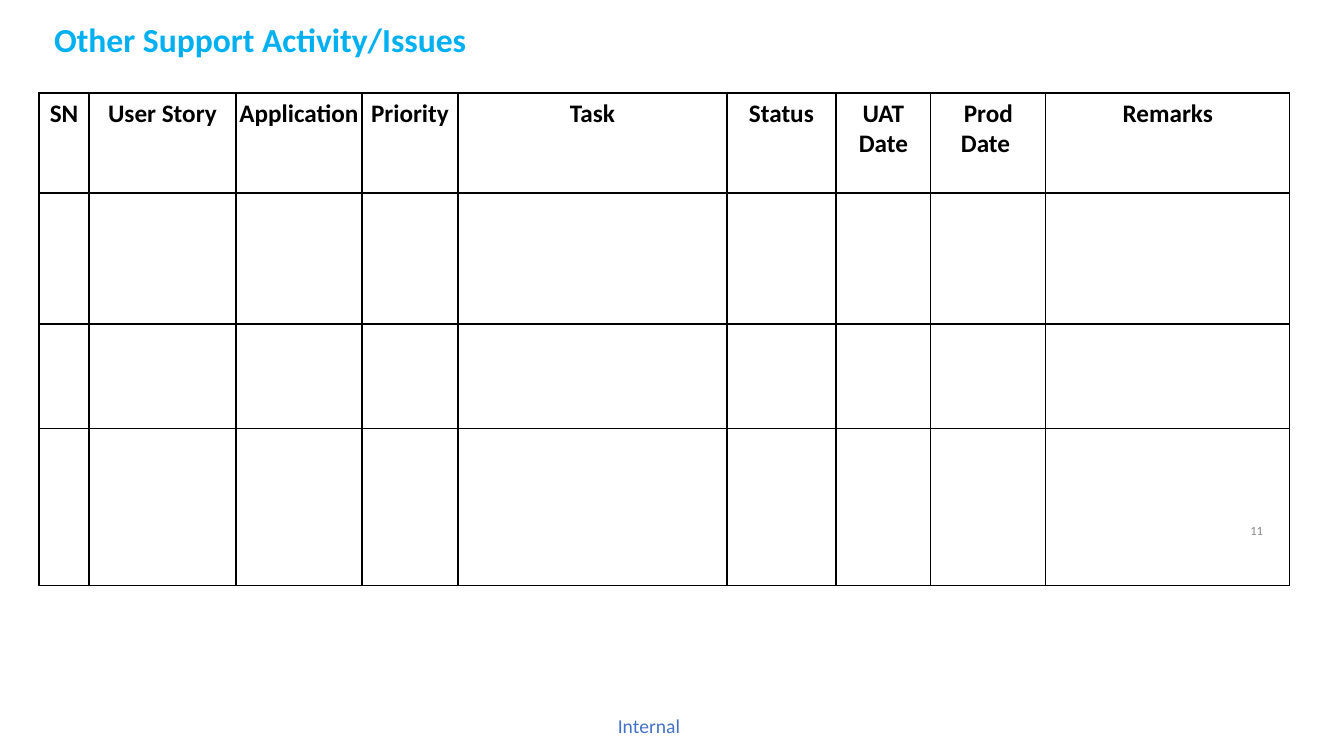
"""Build the support activity slide with its issue tracking table."""
from dataclasses import dataclass

from lxml import etree
from pptx import Presentation, util as u
from pptx.dml.color import RGBColor
from pptx.enum import text
from pptx.oxml.ns import qn

EMU_PER_PX = 914400 / 100.8
FONT = "Calibri"
BLACK, WHITE = "000000", "FFFFFF"
TABLE_LEFT, TABLE_TOP = 39, 93
ROW_HEIGHTS = (100, 131, 105, 157)
FILLED_ROW, FILLED_COLUMNS = 1, 5


@dataclass
class Column:
    """A table column: its width in px and its heading lines."""
    width: int
    heading: tuple[str, ...]


@dataclass
class Label:
    """A text with its box in px and its look."""
    words: str
    left: int
    top: int
    width: int
    height: int
    size: int
    color: str
    align: text.PP_ALIGN
    anchor: text.MSO_ANCHOR
    bold: bool = False


COLUMNS = (
    Column(50, ("SN",)),
    Column(147, ("User Story",)),
    Column(126, ("Application",)),
    Column(96, ("Priority",)),
    Column(269, ("Task",)),
    Column(109, ("Status",)),
    Column(95, ("UAT", "Date")),
    Column(115, ("Prod", "Date ")),
    Column(244, ("Remarks",)),
)
TITLE = Label("Other Support Activity/Issues", 44, 14, 1096, 51, 24, "00B0F0",
              text.PP_ALIGN.LEFT, text.MSO_ANCHOR.MIDDLE, True)
LABELS = (
    Label("11", 1213, 518, 60, 24, 9, "888888",
          text.PP_ALIGN.RIGHT, text.MSO_ANCHOR.MIDDLE),
    Label("Internal", 605, 709, 88, 56, 14, "4472C4",
          text.PP_ALIGN.CENTER, text.MSO_ANCHOR.TOP),
)


def px(length: int) -> u.Emu:
    """Turn px into EMU."""
    return u.Emu(round(length * EMU_PER_PX))


def rgb(color: str) -> RGBColor:
    """Turn a hex string into a colour."""
    return RGBColor.from_string(color)


def add_run(paragraph, words: str, size: int, color: str, bold: bool) -> None:
    """Append one formatted run to a paragraph."""
    run = paragraph.add_run()
    run.text = words
    run.font.name = FONT
    run.font.size = u.Pt(size)
    run.font.bold = bold
    run.font.color.rgb = rgb(color)


def write_label(shape, label: Label) -> None:
    """Place a shape and write its label."""
    shape.left, shape.top = px(label.left), px(label.top)
    shape.width, shape.height = px(label.width), px(label.height)
    frame = shape.text_frame
    frame.word_wrap = True
    frame.auto_size = text.MSO_AUTO_SIZE.NONE
    frame.vertical_anchor = label.anchor
    paragraph = frame.paragraphs[0]
    paragraph.alignment = label.align
    add_run(paragraph, label.words, label.size, label.color, label.bold)


def add_borders(cell) -> None:
    """Draw a thin black line on all four sides of a cell."""
    properties = cell._tc.get_or_add_tcPr()
    for side in ("lnL", "lnR", "lnT", "lnB"):
        line = etree.SubElement(properties, qn(f"a:{side}"), w=str(u.Pt(0.96)))
        fill = etree.SubElement(line, qn("a:solidFill"))
        etree.SubElement(fill, qn("a:srgbClr"), val=BLACK)


def write_heading(cell, lines: tuple[str, ...]) -> None:
    """Write a column heading, one paragraph a line."""
    frame = cell.text_frame
    for number, line in enumerate(lines):
        paragraph = frame.add_paragraph() if number else frame.paragraphs[0]
        paragraph.alignment = text.PP_ALIGN.CENTER
        add_run(paragraph, line, 18, BLACK, True)


def add_issue_table(slide) -> None:
    """Add the bordered table with its heading row."""
    width = sum(column.width for column in COLUMNS)
    table = slide.shapes.add_table(
        len(ROW_HEIGHTS), len(COLUMNS), px(TABLE_LEFT), px(TABLE_TOP),
        px(width), px(sum(ROW_HEIGHTS))).table
    table.first_row = table.horz_banding = False
    for row, height in zip(table.rows, ROW_HEIGHTS):
        row.height = px(height)
    for index, column in enumerate(COLUMNS):
        table.columns[index].width = px(column.width)
        for row_index in range(len(ROW_HEIGHTS)):
            cell = table.cell(row_index, index)
            cell.margin_left = cell.margin_right = px(1)
            add_borders(cell)
            if row_index == FILLED_ROW and index < FILLED_COLUMNS:
                cell.fill.solid()
                cell.fill.fore_color.rgb = rgb(WHITE)
            else:
                cell.fill.background()
        write_heading(table.cell(0, index), column.heading)


def main() -> None:
    """Build and save the slide."""
    presentation = Presentation()
    presentation.slide_width, presentation.slide_height = px(1344), px(756)
    slide = presentation.slides.add_slide(presentation.slide_layouts[5])
    title = slide.shapes.title
    title.fill.solid()
    title.fill.fore_color.rgb = rgb(WHITE)
    write_label(title, TITLE)
    add_issue_table(slide)
    for label in LABELS:
        write_label(slide.shapes.add_textbox(0, 0, 0, 0), label)
    presentation.save("out.pptx")


if __name__ == "__main__":
    main()
